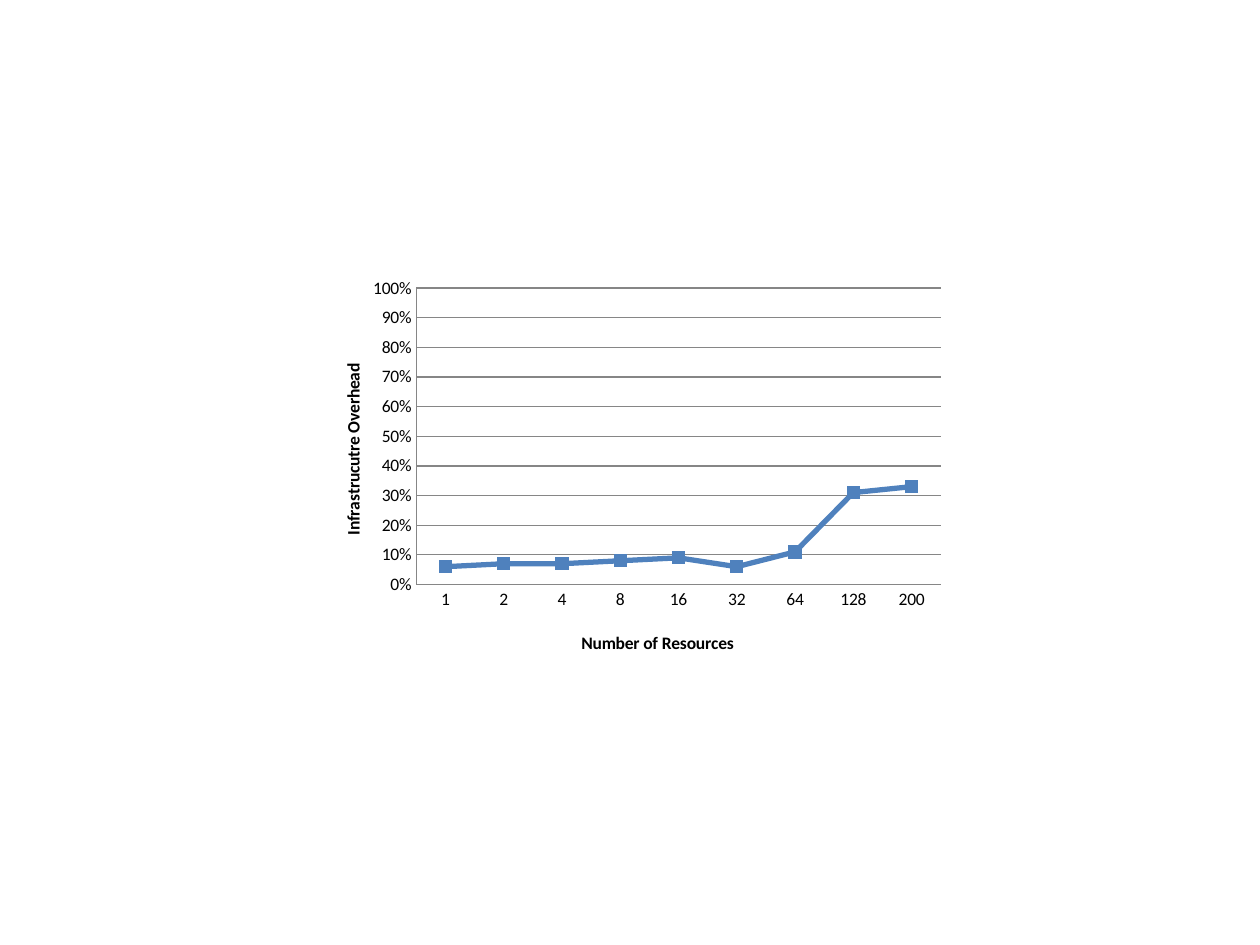
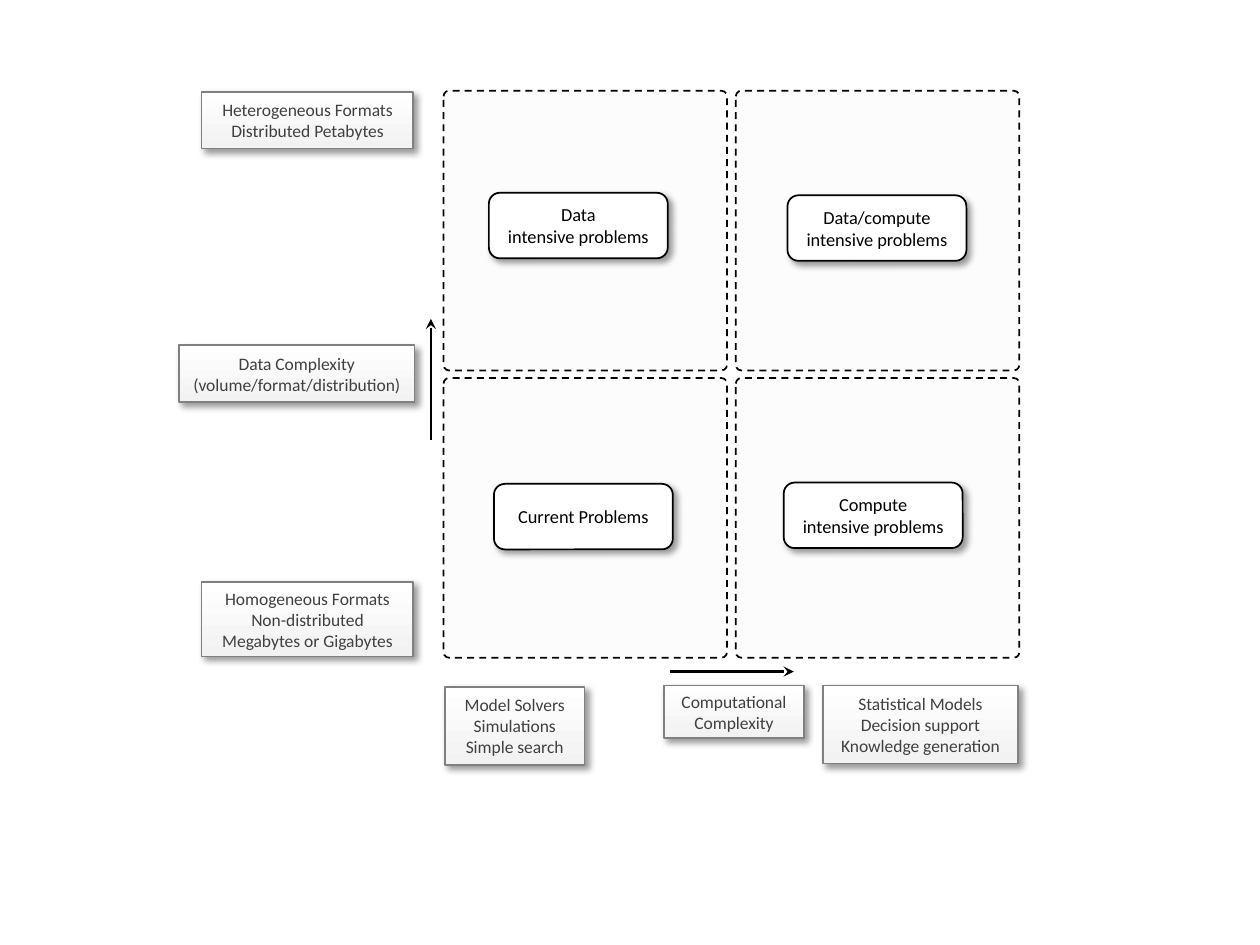
"""Build two slides: an overhead chart and a map of problem classes."""
from lxml import etree
from pptx import Presentation
from pptx.chart.data import CategoryChartData
from pptx.dml.color import RGBColor
from pptx.enum.chart import XL_CHART_TYPE, XL_MARKER_STYLE, XL_TICK_MARK
from pptx.enum.dml import MSO_LINE
from pptx.enum.shapes import MSO_CONNECTOR, MSO_SHAPE
from pptx.enum.text import MSO_ANCHOR, PP_ALIGN
from pptx.oxml import parse_xml
from pptx.oxml.ns import nsdecls, qn
from pptx.util import Inches, Pt

BLACK = RGBColor(0x00, 0x00, 0x00)
WHITE = RGBColor(0xFF, 0xFF, 0xFF)
PALE = RGBColor(0xF2, 0xF2, 0xF2)
GRAY = RGBColor(0x80, 0x80, 0x80)
AXIS_GRAY = RGBColor(0x86, 0x86, 0x86)
DARK = RGBColor(0x40, 0x40, 0x40)
BLUE = RGBColor(0x4F, 0x81, 0xBD)

LINE_MARKERS = XL_CHART_TYPE.LINE_MARKERS
SQUARE = XL_MARKER_STYLE.SQUARE
NO_TICK = XL_TICK_MARK.NONE
DASH = MSO_LINE.DASH
STRAIGHT = MSO_CONNECTOR.STRAIGHT
RECTANGLE = MSO_SHAPE.RECTANGLE
ROUNDED = MSO_SHAPE.ROUNDED_RECTANGLE
MIDDLE = MSO_ANCHOR.MIDDLE
CENTER = PP_ALIGN.CENTER

FONT = "Calibri"
CLASS_FONT = {"name": FONT, "size": Pt(10.5), "bold": False}
LABEL_FONT = {"name": FONT, "size": Pt(10), "bold": False}
TITLE_FONT = {"name": FONT, "size": Pt(10), "bold": True}

RESOURCES = ["1", "2", "4", "8", "16", "32", "64", "128", "200"]
OVERHEAD = [0.06, 0.07, 0.07, 0.08, 0.09, 0.06, 0.11, 0.31, 0.33]

COLUMNS = (3.52, 5.84)
ROWS = (0.72, 3.0)
QUADRANT_SIZE = (2.25, 2.22)
CLASS_SIZE = (1.42, 0.52)
PROBLEM_CLASSES = [
    ((6.25, 1.55), ["Data/compute", "intensive problems"]),
    ((6.22, 3.83), ["Compute", "intensive problems"]),
    ((3.92, 3.84), ["Current Problems"]),
    ((3.88, 1.53), ["Data", "intensive problems"]),
]
LABELS = [
    ((1.6, 0.73, 1.68, 0.45), ["Heterogeneous Formats", "Distributed Petabytes"]),
    ((1.42, 2.74, 1.87, 0.45), ["Data Complexity", "(volume/format/distribution)"]),
    ((1.6, 4.62, 1.68, 0.59),
     ["Homogeneous Formats", "Non-distributed Megabytes or Gigabytes"]),
    ((5.27, 5.44, 1.11, 0.42), ["Computational", "Complexity"]),
    ((3.53, 5.45, 1.11, 0.62), ["Model Solvers", "Simulations", "Simple search"]),
    ((6.53, 5.44, 1.55, 0.62),
     ["Statistical Models", "Decision support", "Knowledge generation"]),
]


def inches(values):
    """Turn plain numbers into lengths."""
    return [Inches(value) for value in values]


def format_font(font, values, color):
    """Apply format values and a colour to a font."""
    for name, value in values.items():
        setattr(font, name, value)
    font.color.rgb = color


def format_line(line, color, width):
    """Set the colour and the width of a line."""
    line.color.rgb = color
    line.width = Pt(width)


def place_chart_part(element, index, **fractions):
    """Give a chart part a manual layout in fractions of the chart."""
    for layout in element.findall(qn("c:layout")):
        element.remove(layout)
    modes = '<c:xMode val="edge"/><c:yMode val="edge"/>'
    target = '<c:layoutTarget val="inner"/>' if "w" in fractions else ""
    values = "".join(f'<c:{name} val="{value}"/>' for name, value in fractions.items())
    element.insert(index, parse_xml(
        f'<c:layout {nsdecls("c")}><c:manualLayout>{target}{modes}{values}'
        "</c:manualLayout></c:layout>"))


class SlideBuilder:
    """Hold the style and the current slide."""

    def __init__(self, presentation):
        """Start without a slide."""
        self.presentation = presentation
        self.slide = None

    def new_slide(self):
        """Add a blank slide and make it current."""
        self.slide = self.presentation.slides.add_slide(
            self.presentation.slide_layouts[6])

    def arrow(self, start, end):
        """Draw a straight arrow with a stealth head."""
        connector = self.slide.shapes.add_connector(
            STRAIGHT, *inches(start), *inches(end))
        format_line(connector.line, BLACK, 1.5)
        properties = connector.line._get_or_add_ln()
        etree.SubElement(properties, qn("a:tailEnd"), type="stealth")
        etree.SubElement(connector._element.spPr, qn("a:effectLst"))

    def box(self, kind, place, line_color):
        """Add an outlined shape without a shadow."""
        shape = self.slide.shapes.add_shape(kind, *inches(place))
        shape.shadow.inherit = False
        format_line(shape.line, line_color, 1)
        return shape

    def quadrant(self, left, top):
        """Add a dashed, nearly clear quadrant."""
        shape = self.box(ROUNDED, (left, top, *QUADRANT_SIZE), BLACK)
        shape.adjustments[0] = 0.02
        shape.line.dash_style = DASH
        shape.fill.solid()
        shape.fill.fore_color.rgb = PALE
        color = shape._element.spPr.find(qn("a:solidFill"))[0]
        etree.SubElement(color, qn("a:alpha"), val="16000")

    def add_shadow(self, shape):
        """Give a shape a soft shadow to the lower right."""
        effects = shape._element.spPr.find(qn("a:effectLst"))
        effects.append(parse_xml(
            f'<a:outerShdw {nsdecls("a")} blurRad="{Pt(4)}" dist="{Pt(3)}" '
            'dir="2700000" algn="tl" rotWithShape="0"><a:srgbClr val="000000">'
            '<a:alpha val="40000"/></a:srgbClr></a:outerShdw>'))

    def add_lines(self, shape, lines, values, color):
        """Put centred paragraphs into a shape."""
        frame = shape.text_frame
        frame.word_wrap = True
        frame.vertical_anchor = MIDDLE
        frame.text = "\n".join(lines)
        for paragraph in frame.paragraphs:
            paragraph.alignment = CENTER
            format_font(paragraph.font, values, color)

    def problem_class(self, place, lines):
        """Add a white rounded box that names a problem class."""
        shape = self.box(ROUNDED, (*place, *CLASS_SIZE), BLACK)
        shape.fill.solid()
        shape.fill.fore_color.rgb = WHITE
        self.add_shadow(shape)
        self.add_lines(shape, lines, CLASS_FONT, BLACK)

    def label(self, place, lines):
        """Add a shaded label beside the quadrants."""
        shape = self.box(RECTANGLE, place, GRAY)
        shape.fill.gradient()
        shape.fill.gradient_angle = 270
        for stop, color in zip(shape.fill.gradient_stops, (WHITE, PALE)):
            stop.color.rgb = color
        self.add_shadow(shape)
        self.add_lines(shape, lines, LABEL_FONT, DARK)

    def axis(self, axis, title, left, top):
        """Format an axis and place its title."""
        axis.major_tick_mark = axis.minor_tick_mark = NO_TICK
        format_line(axis.format.line, AXIS_GRAY, 0.75)
        frame = axis.axis_title.text_frame
        frame.text = title
        format_font(frame.paragraphs[0].runs[0].font, TITLE_FONT, BLACK)
        place_chart_part(axis.axis_title._element, 1, x=left, y=top)

    def line_chart(self, place, categories, values):
        """Add a line chart of shares from 0% to 100%."""
        data = CategoryChartData(number_format="0%")
        data.categories = categories
        data.add_series("Series 1", values)
        chart = self.slide.shapes.add_chart(LINE_MARKERS, *inches(place), data).chart
        format_font(chart.font, LABEL_FONT, BLACK)
        chart.has_legend = chart.has_title = False
        self.axis(chart.category_axis, "Number of Resources", 0.42, 0.89)
        value_axis = chart.value_axis
        self.axis(value_axis, "Infrastrucutre Overhead", 0.05, 0.22)
        value_axis.minimum_scale = 0
        value_axis.maximum_scale = 1
        value_axis.major_unit = 0.1
        value_axis.has_major_gridlines = True
        format_line(value_axis.major_gridlines.format.line, AXIS_GRAY, 0.75)
        value_axis.tick_labels.number_format = "0%"
        value_axis.tick_labels.number_format_is_linked = False
        plot = chart.plots[0]
        plot.vary_by_categories = False
        series = plot.series[0]
        series.smooth = False
        format_line(series.format.line, BLUE, 3)
        series.marker.style = SQUARE
        series.marker.size = 7
        series.marker.format.fill.solid()
        series.marker.format.fill.fore_color.rgb = BLUE
        format_line(series.marker.format.line, BLUE, 0.75)
        plot_area = chart._chartSpace.find(".//" + qn("c:plotArea"))
        place_chart_part(plot_area, 0, x=0.17, y=0.04, w=0.81, h=0.74)


def main():
    """Build and save the presentation."""
    presentation = Presentation()
    presentation.slide_width = Inches(10)
    presentation.slide_height = Inches(7.5)
    builder = SlideBuilder(presentation)

    builder.new_slide()
    builder.line_chart((2.43, 2.16, 5.14, 3.18), RESOURCES, OVERHEAD)

    builder.new_slide()
    builder.arrow((3.42, 3.49), (3.42, 2.53))
    builder.arrow((5.32, 5.33), (6.3, 5.33))
    for top in ROWS:
        for left in COLUMNS:
            builder.quadrant(left, top)
    for place, lines in PROBLEM_CLASSES:
        builder.problem_class(place, lines)
    for place, lines in LABELS:
        builder.label(place, lines)

    presentation.save("out.pptx")


if __name__ == "__main__":
    main()
